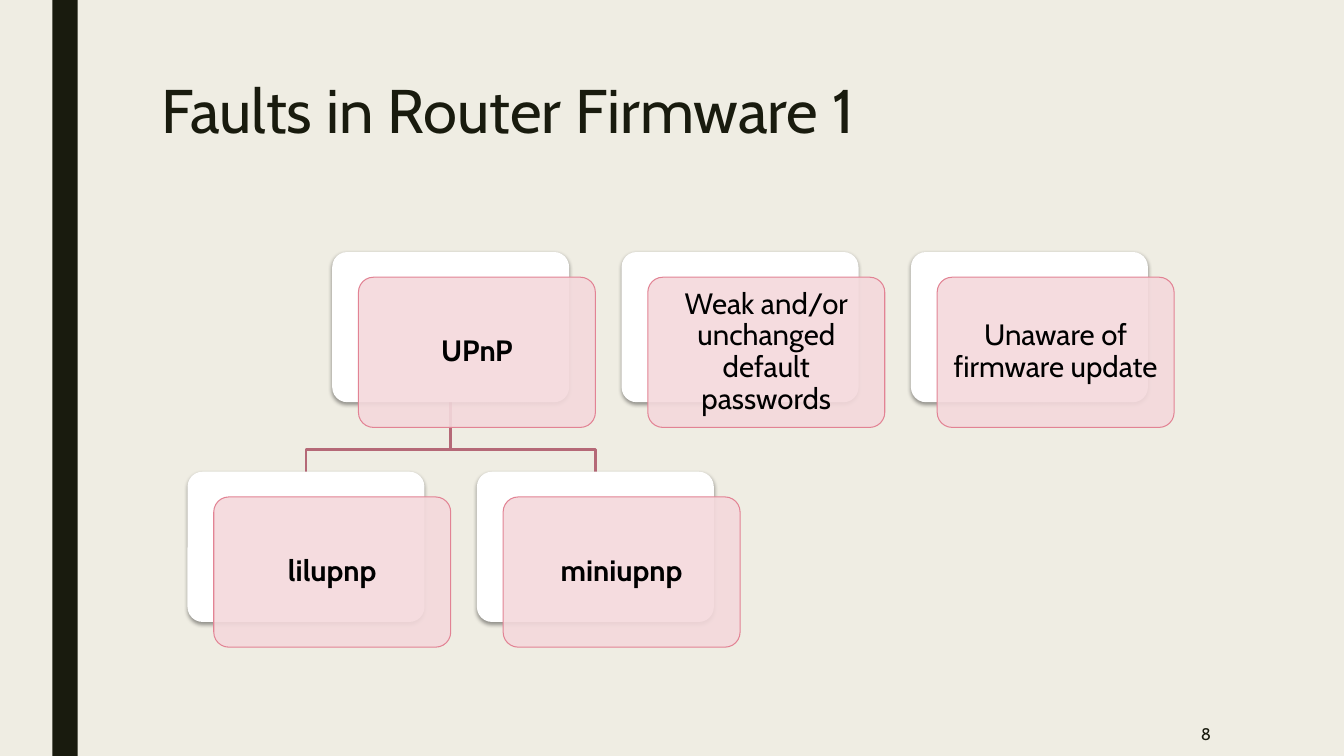
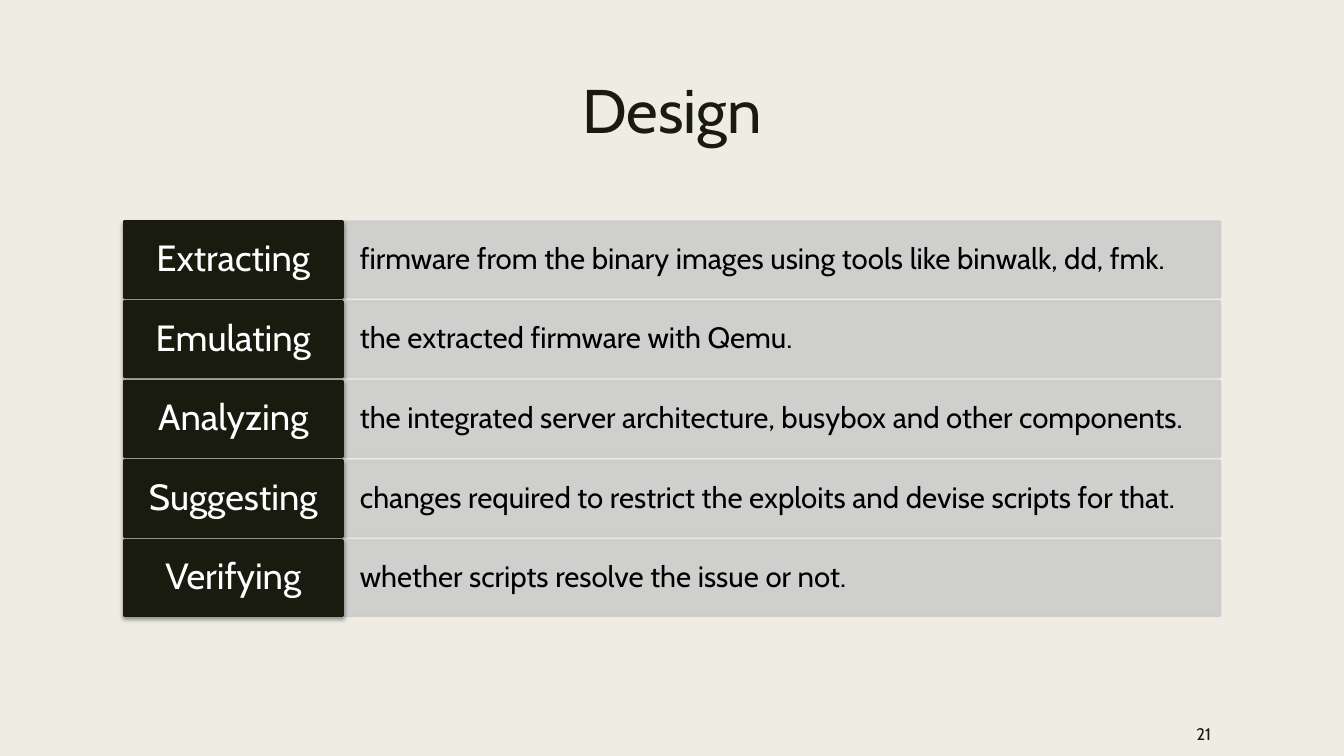
"""Build two slides on router firmware: a fault tree and a design list."""
from pptx import Presentation
from pptx.dml.color import RGBColor
from pptx.enum.shapes import MSO_SHAPE as Preset
from pptx.enum.text import MSO_ANCHOR as Anchor, MSO_AUTO_SIZE as AutoSize, PP_ALIGN as Align
from pptx.oxml.ns import qn
from pptx.util import Inches, Pt
from lxml.etree import SubElement

FONT = "Cabin"
CREAM = RGBColor(0xEF, 0xED, 0xE3)
DARK = RGBColor(0x19, 0x1B, 0x0E)
WHITE = RGBColor(0xFF, 0xFF, 0xFF)
BLACK = RGBColor(0x00, 0x00, 0x00)
PINK = RGBColor(0xF4, 0xD9, 0xDC)
ROSE = RGBColor(0xE2, 0x83, 0x94)
BRANCH = RGBColor(0xB5, 0x69, 0x77)
GREY = RGBColor(0xCC, 0xCD, 0xCC)

SLIDE_WIDTH, SLIDE_HEIGHT = 13.33, 7.5
TITLE_ONLY = 5
OPACITY = 90

CARD_WIDTH, CARD_HEIGHT = 2.35, 1.49
TREE_LEFT, TREE_TOP = 1.86, 2.5
COLUMN_STEP, LEVEL_STEP = 2.87, 2.18
CARD_SHIFT = 0.26, 0.25
BRANCH_DROP = 0.47

LIST_LEFT, LIST_TOP = 1.23, 2.2
LABEL_WIDTH, DETAIL_WIDTH = 2.17, 8.7
ROW_HEIGHT, ROW_STEP = 0.75, 0.79

FAULTS = [
    ("UPnP", 0.5, 0, True),
    ("lilupnp", 0, 1, True),
    ("miniupnp", 1, 1, True),
    ("Weak and/or unchanged default passwords", 1.5, 0, False),
    ("Unaware of firmware update", 2.5, 0, False),
]
STEPS = [
    ("Extracting", "firmware from the binary images using tools like binwalk, dd, fmk."),
    ("Emulating", "the extracted firmware with Qemu."),
    ("Analyzing", "the integrated server architecture, busybox and other components."),
    ("Suggesting", "changes required to restrict the exploits and devise scripts for that."),
    ("Verifying", "whether scripts resolve the issue or not."),
]


def write(box, text, size, color, align, bold=False, anchor=Anchor.MIDDLE,
          inset=(0.1, 0.05), spacing=0.9, after=0):
    """Fill a shape's text frame with one formatted paragraph."""
    frame = box.text_frame
    frame.word_wrap = True
    frame.auto_size = AutoSize.NONE
    frame.vertical_anchor = anchor
    frame.margin_left = frame.margin_right = Inches(inset[0])
    frame.margin_top = frame.margin_bottom = Inches(inset[1])
    para = frame.paragraphs[0]
    para.alignment = align
    para.line_spacing = spacing
    para.space_after = Pt(after)
    span = para.add_run()
    span.text = text
    span.font.name = FONT
    span.font.size = Pt(size)
    span.font.bold = bold
    span.font.color.rgb = color


def set_opacity(properties, percent):
    """Make every solid colour below the given element translucent."""
    for color in properties.iter(qn("a:srgbClr")):
        SubElement(color, qn("a:alpha"), val=str(percent * 1000))


def add_shadow(shape):
    """Cast a soft shadow straight below the shape."""
    effects = shape.element.spPr.find(qn("a:effectLst"))
    shadow = SubElement(effects, qn("a:outerShdw"), blurRad=str(Pt(3.1)), dist=str(Pt(1.6)),
                        dir="5400000", algn="ctr", rotWithShape="0")
    color = SubElement(shadow, qn("a:srgbClr"), val=str(BLACK))
    SubElement(color, qn("a:alpha"), val="38000")


def add_block(page, left, top, width, height, fill, line=None, weight=2, preset=Preset.RECTANGLE):
    """Add a flat preset shape with an optional outline."""
    block = page.shapes.add_shape(preset, Inches(left), Inches(top), Inches(width), Inches(height))
    block.shadow.inherit = False
    block.fill.solid()
    block.fill.fore_color.rgb = fill
    if line is None:
        block.line.fill.background()
    else:
        block.line.color.rgb = line
        block.line.width = Pt(weight)
    if preset == Preset.ROUNDED_RECTANGLE:
        block.adjustments[0] = 0.1
    return block


def add_page(deck, title, number, left, width, align):
    """Add a slide with its title and page number."""
    page = deck.slides.add_slide(deck.slide_layouts[TITLE_ONLY])
    heading = page.shapes.title
    heading.left, heading.top = Inches(left), Inches(SLIDE_HEIGHT / 10)
    heading.width, heading.height = Inches(width), Inches(1.62)
    write(heading, title, 44, DARK, align, anchor=Anchor.TOP, spacing=0.89)
    footer = page.shapes.add_textbox(Inches(10.36), Inches(7.06), Inches(1.75), Inches(0.44))
    write(footer, str(number), 12, DARK, Align.RIGHT, spacing=1, after=6)
    return page


def card_corner(column, level):
    """Return the top left corner of a card in the tree grid."""
    return TREE_LEFT + column * COLUMN_STEP, TREE_TOP + level * LEVEL_STEP


def add_branch(page, parent, child):
    """Draw a bent line from a parent card down to a child card."""
    (parent_left, parent_top), (child_left, child_top) = card_corner(*parent), card_corner(*child)
    start, end = parent_left + CARD_WIDTH / 2, child_left + CARD_WIDTH / 2
    bottom = parent_top + CARD_HEIGHT
    bend = bottom + BRANCH_DROP
    points = [(start, bend), (end, bend), (end, child_top)]
    builder = page.shapes.build_freeform(Inches(start), Inches(bottom))
    builder.add_line_segments([(Inches(x), Inches(y)) for x, y in points], close=False)
    branch = builder.convert_to_shape()
    branch.shadow.inherit = False
    branch.fill.background()
    branch.line.color.rgb = BRANCH
    branch.line.width = Pt(2)


def add_card(page, text, column, level, bold):
    """Add a white card with a translucent pink text card over it."""
    left, top = card_corner(column, level)
    back = add_block(page, left, top, CARD_WIDTH, CARD_HEIGHT, WHITE,
                     preset=Preset.ROUNDED_RECTANGLE)
    add_shadow(back)
    front = add_block(page, left + CARD_SHIFT[0], top + CARD_SHIFT[1], CARD_WIDTH, CARD_HEIGHT,
                      PINK, ROSE, 0.75, Preset.ROUNDED_RECTANGLE)
    set_opacity(front.element.spPr.find(qn("a:solidFill")), OPACITY)
    write(front, text, 21, BLACK, Align.CENTER, bold, inset=(0.09, 0.09), after=7)


def add_step(page, row, label, detail):
    """Add one list row: a grey detail bar and its dark label."""
    top = LIST_TOP + row * ROW_STEP
    bar = add_block(page, LIST_LEFT + LABEL_WIDTH, top, DETAIL_WIDTH, ROW_HEIGHT, GREY, GREY)
    set_opacity(bar.element.spPr, OPACITY)
    write(bar, detail, 21, BLACK, Align.LEFT, inset=(0.17, 0.19), after=7)
    tab = add_block(page, LIST_LEFT, top, LABEL_WIDTH, ROW_HEIGHT, DARK, DARK)
    add_shadow(tab)
    write(tab, label, 26, WHITE, Align.CENTER, inset=(0.12, 0.07), after=9)


def build_faults(deck):
    """Build the fault tree slide."""
    page = add_page(deck, "Faults in Router Firmware 1", 8, 1.5, 10.5, Align.LEFT)
    add_block(page, 0.52, 0, 0.25, SLIDE_HEIGHT, DARK)
    for column in (1, 0):
        add_branch(page, (0.5, 0), (column, 1))
    for fault in FAULTS:
        add_card(page, *fault)


def build_design(deck):
    """Build the design steps slide."""
    page = add_page(deck, "Design", 21, 0.7, SLIDE_WIDTH - 1.4, Align.CENTER)
    for row, (label, detail) in enumerate(STEPS):
        add_step(page, row, label, detail)


def main():
    """Build and save the deck."""
    deck = Presentation()
    deck.slide_width, deck.slide_height = Inches(SLIDE_WIDTH), Inches(SLIDE_HEIGHT)
    backdrop = deck.slide_master.background.fill
    backdrop.solid()
    backdrop.fore_color.rgb = CREAM
    build_faults(deck)
    build_design(deck)
    deck.save("out.pptx")


main()
